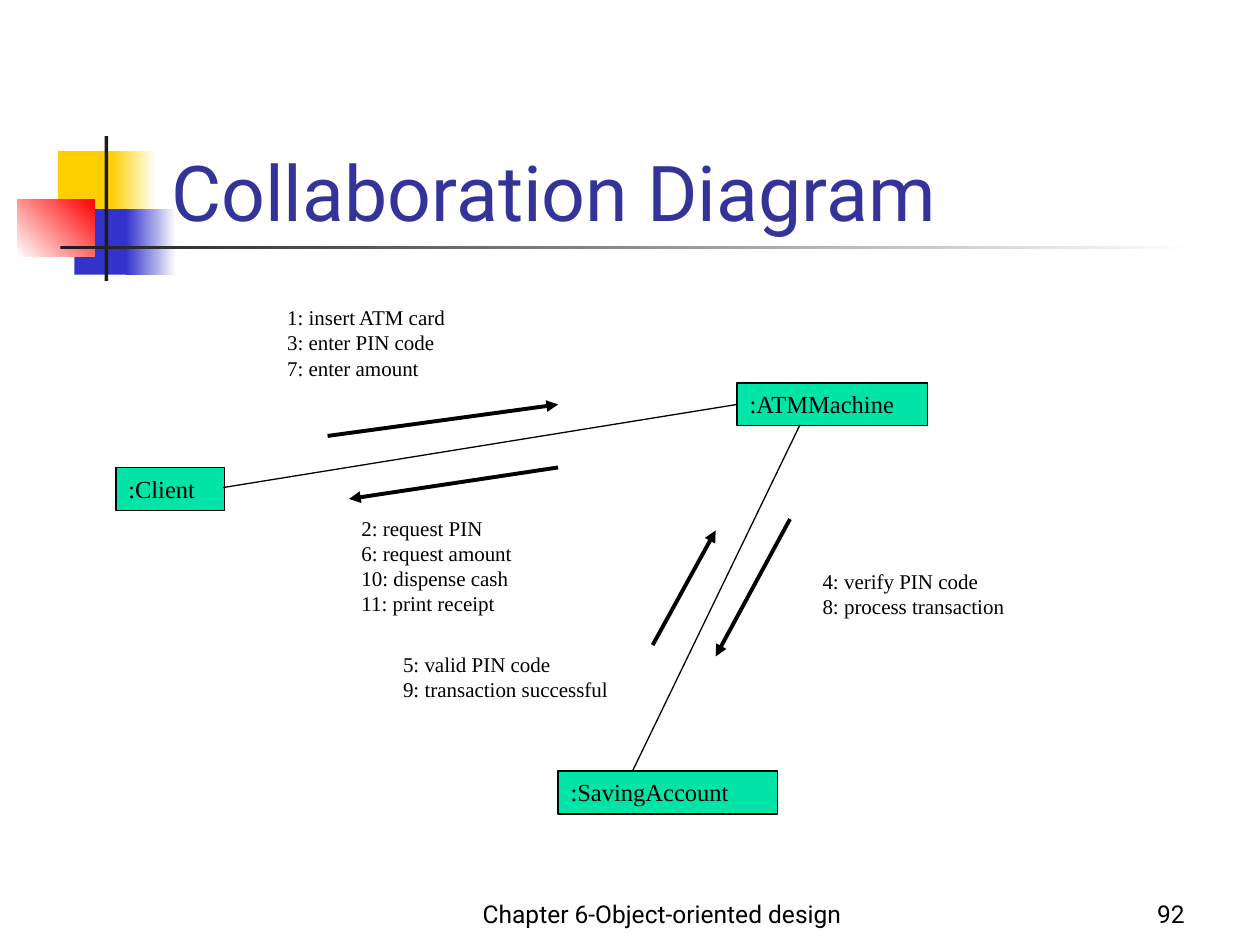
"""Build the collaboration diagram slide of the design chapter."""
from dataclasses import dataclass

from lxml.etree import SubElement as Sub
from pptx import Presentation as Deck
from pptx.dml.color import RGBColor as Rgb
from pptx.enum.shapes import MSO_CONNECTOR as Link, MSO_SHAPE as Form
from pptx.enum.text import MSO_ANCHOR as Anchor, PP_ALIGN as Align
from pptx.oxml.ns import qn
from pptx.util import Pt

SCALE = 9144


@dataclass(frozen=True)
class Theme:
    """Colours, fonts and type sizes of the slide."""
    ink: str = "000000"
    dark: str = "1C1C1C"
    white: str = "FFFFFF"
    gold: str = "FFCF01"
    blue: str = "3333CC"
    red: str = "FF0000"
    green: str = "00E4A8"
    head: str = "333399"
    sans: str = "Roboto"
    serif: str = "Times New Roman"
    title: int = 44
    body: int = 14
    note: int = 12
    thin: float = 0.75
    thick: float = 2.25


LOOK = Theme()


@dataclass(frozen=True)
class Area:
    """A rectangle in px."""
    left: int
    top: int
    width: int
    height: int

    def emu(self) -> tuple[int, ...]:
        """Return the four lengths in EMU."""
        return tuple(v * SCALE for v in (self.left, self.top, self.width, self.height))


@dataclass(frozen=True)
class Block:
    """A filled rectangle, fading to a second colour if one is given."""
    area: Area
    fill: str
    fade: str = ""
    angle: int = 0


@dataclass(frozen=True)
class Label:
    """A text in an area; each line is a paragraph."""
    area: Area
    text: str
    size: int = LOOK.note
    font: str = LOOK.serif
    ink: str = LOOK.ink
    align: Align = Align.LEFT
    anchor: Anchor = Anchor.TOP


@dataclass(frozen=True)
class Edge:
    """A straight line between two points in px."""
    start: tuple[int, int]
    end: tuple[int, int]
    arrow: bool = False


BLOCKS = [
    Block(Area(46, 120, 48, 52), LOOK.gold),
    Block(Area(88, 120, 36, 52), LOOK.gold, LOOK.white),
    Block(Area(59, 166, 46, 52), LOOK.blue),
    Block(Area(100, 166, 40, 52), LOOK.blue, LOOK.white),
    Block(Area(14, 158, 61, 46), LOOK.white, LOOK.red, 45),
    Block(Area(83, 108, 3, 115), LOOK.dark),
    Block(Area(48, 195, 900, 3), LOOK.dark, LOOK.white),
]
TITLE = Label(Area(126, 68, 852, 125), "Collaboration Diagram",
              LOOK.title, LOOK.sans, LOOK.head, anchor=Anchor.BOTTOM)
NODES = [
    Label(Area(92, 371, 86, 34), ":Client", LOOK.body),
    Label(Area(585, 304, 151, 34), ":ATMMachine", LOOK.body),
    Label(Area(443, 612, 174, 34), ":SavingAccount", LOOK.body),
]
NOTES = [
    Label(Area(367, 692, 317, 50), "Chapter 6-Object-oriented design",
          LOOK.body, LOOK.sans, align=Align.CENTER, anchor=Anchor.BOTTOM),
    Label(Area(742, 692, 208, 50), "92",
          LOOK.body, LOOK.sans, align=Align.RIGHT, anchor=Anchor.BOTTOM),
    Label(Area(218, 237, 185, 70),
          "1: insert ATM card\n3: enter PIN code\n7: enter amount"),
    Label(Area(277, 404, 185, 90),
          "2: request PIN\n6: request amount\n10: dispense cash\n11: print receipt"),
    Label(Area(643, 446, 233, 50), "4: verify PIN code\n8: process transaction"),
    Label(Area(310, 512, 235, 50), "5: valid PIN code\n9: transaction successful"),
]
EDGES = [
    Edge((177, 387), (585, 321)),
    Edge((635, 337), (502, 612)),
    Edge((260, 346), (443, 321), True),
    Edge((443, 371), (277, 396), True),
    Edge((627, 412), (568, 521), True),
    Edge((518, 512), (568, 421), True),
]


def write(shape, label: Label) -> None:
    """Set and format the text of a shape."""
    frame = shape.text_frame
    frame.text = label.text
    frame.word_wrap = True
    frame.vertical_anchor = label.anchor
    for para in frame.paragraphs:
        para.alignment = label.align
        for run in para.runs:
            run.font.size = Pt(label.size)
            run.font.name = label.font
            run.font.color.rgb = Rgb.from_string(label.ink)


def block(shapes, item: Block):
    """Draw a rectangle without an outline."""
    shape = shapes.add_shape(Form.RECTANGLE, *item.area.emu())
    shape.shadow.inherit = False
    shape.line.fill.background()
    if item.fade:
        shape.fill.gradient()
        shape.fill.gradient_angle = item.angle
        for stop, tint in zip(shape.fill.gradient_stops, (item.fill, item.fade)):
            stop.color.rgb = Rgb.from_string(tint)
    else:
        shape.fill.solid()
        shape.fill.fore_color.rgb = Rgb.from_string(item.fill)
    return shape


def node(shapes, label: Label) -> None:
    """Draw an object box with its name."""
    shape = block(shapes, Block(label.area, LOOK.green))
    shape.line.color.rgb = Rgb.from_string(LOOK.ink)
    shape.line.width = Pt(LOOK.thin)
    write(shape, label)


def edge(shapes, item: Edge) -> None:
    """Draw a link, or a thick message arrow."""
    ends = [v * SCALE for v in item.start + item.end]
    wire = shapes.add_connector(Link.STRAIGHT, *ends)
    wire.line.color.rgb = Rgb.from_string(LOOK.ink)
    wire.line.width = Pt(LOOK.thick if item.arrow else LOOK.thin)
    props = wire.element.spPr
    if item.arrow:
        Sub(props.find(qn("a:ln")), qn("a:tailEnd"), type="triangle")
    Sub(props, qn("a:effectLst"))


def main() -> None:
    """Build and save the slide."""
    deck = Deck()
    deck.slide_width, deck.slide_height = 1000 * SCALE, 750 * SCALE
    shapes = deck.slides.add_slide(deck.slide_layouts[5]).shapes
    for item in BLOCKS:
        block(shapes, item)
    title = shapes.title
    title.left, title.top, title.width, title.height = TITLE.area.emu()
    write(title, TITLE)
    title.element.getparent().append(title.element)
    for label in NODES:
        node(shapes, label)
    for label in NOTES:
        write(shapes.add_textbox(*label.area.emu()), label)
    for item in EDGES:
        edge(shapes, item)
    deck.save("out.pptx")


if __name__ == "__main__":
    main()
